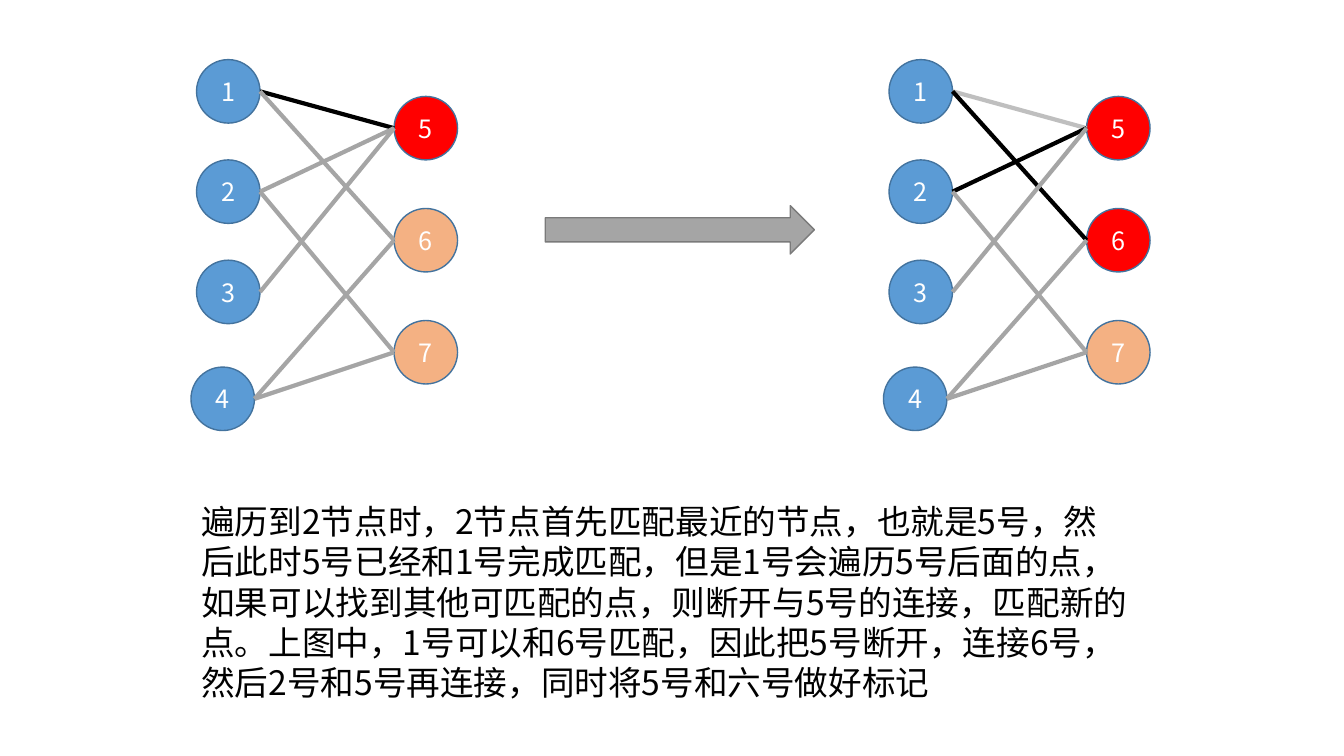
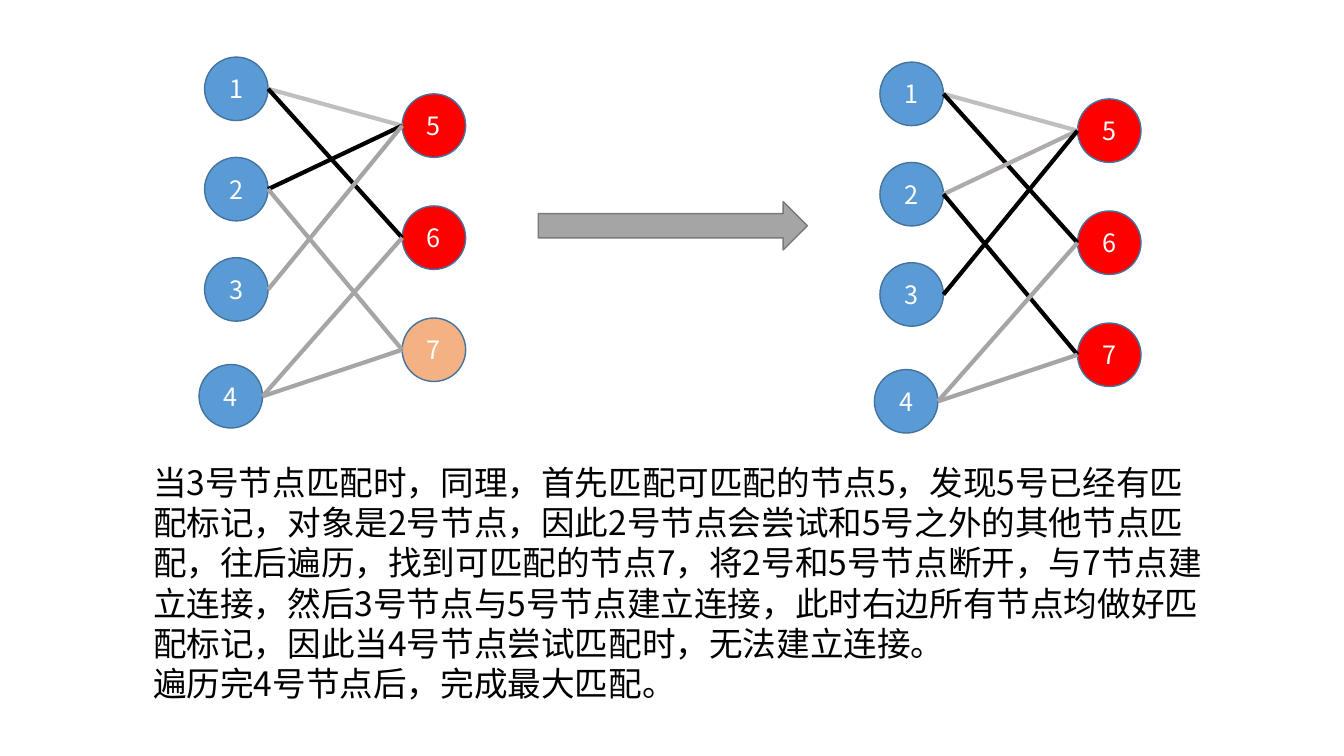
"""Builds two slides that show how a bipartite matching grows step by step."""
from lxml import etree
from pptx import Presentation
from pptx.dml.color import RGBColor
from pptx.enum.shapes import MSO_CONNECTOR, MSO_SHAPE
from pptx.enum.text import MSO_ANCHOR, MSO_AUTO_SIZE, PP_ALIGN
from pptx.oxml.ns import qn
from pptx.util import Inches, Pt

LINE = MSO_CONNECTOR.STRAIGHT
OVAL, ARROW = MSO_SHAPE.OVAL, MSO_SHAPE.RIGHT_ARROW
MIDDLE, GROW = MSO_ANCHOR.MIDDLE, MSO_AUTO_SIZE.SHAPE_TO_FIT_TEXT
LEFT, CENTER = PP_ALIGN.LEFT, PP_ALIGN.CENTER

BLACK = RGBColor(0x00, 0x00, 0x00)
WHITE = RGBColor(0xFF, 0xFF, 0xFF)
BLUE = RGBColor(0x5B, 0x9B, 0xD5)
NAVY = RGBColor(0x43, 0x73, 0x9E)
RED = RGBColor(0xFF, 0x00, 0x00)
PEACH = RGBColor(0xF4, 0xB1, 0x83)
GRAY = RGBColor(0xA5, 0xA5, 0xA5)
DARK_GRAY = RGBColor(0x7A, 0x7A, 0x7A)
SILVER = RGBColor(0xBF, 0xBF, 0xBF)
WARM_GRAY = RGBColor(0xAF, 0xAB, 0xAB)

COLS, ROWS = 160, 90
NODE = 7.56
LEFT_NODES = {1: (0, 0), 2: (0, 11.94), 3: (0, 23.88), 4: (-0.66, 36.6)}
RIGHT_NODES = {n: (23.52, 4.38 + 13.34 * i) for i, n in enumerate((5, 6, 7))}
EDGES = [(1, 5), (1, 6), (2, 5), (2, 7), (3, 5), (4, 6), (4, 7)]


class Deck:
    """Holds the style and the current slide; lengths are grid columns and rows."""

    font = "Noto Sans CJK SC"

    def __init__(self):
        self.prs = Presentation()
        self.cell = Inches(7.5) // ROWS
        self.prs.slide_width = self.cell * COLS
        self.prs.slide_height = self.cell * ROWS

    def slide(self):
        self.s = self.prs.slides.add_slide(self.prs.slide_layouts[6])

    def grid(self, *lengths):
        return [round(n * self.cell) for n in lengths]

    def fill_text(self, tf, lines, size, color, align):
        tf.text = "\n".join(lines)
        for p in tf.paragraphs:
            p.alignment = align
            p.font.size = Pt(size)
            p.font.color.rgb = color
            p.font.name = self.font
            style = p._p.pPr.find(qn("a:defRPr"))
            etree.SubElement(style, qn("a:ea"), typeface=self.font)

    def shape(self, kind, x, y, w, h, fill, line):
        sp = self.s.shapes.add_shape(kind, *self.grid(x, y, w, h))
        sp.shadow.inherit = False
        sp.fill.solid()
        sp.fill.fore_color.rgb = fill
        sp.line.color.rgb = line
        sp.line.width = Pt(1)
        return sp

    def node(self, x, y, number, fill):
        tf = self.shape(OVAL, x, y, NODE, NODE, fill, NAVY).text_frame
        tf.vertical_anchor = MIDDLE
        self.fill_text(tf, [str(number)], 18, WHITE, CENTER)

    def edge(self, x1, y1, x2, y2, color):
        sp = self.s.shapes.add_connector(LINE, *self.grid(x1, y1, x2, y2))
        sp.line.color.rgb = color
        sp.line.width = Pt(3)
        etree.SubElement(sp._element.spPr, qn("a:effectLst"))

    def graph(self, x, y, matched, released):
        taken = {b for a, b in matched}
        for n, (dx, dy) in LEFT_NODES.items():
            self.node(x + dx, y + dy, n, BLUE)
        for n, (dx, dy) in RIGHT_NODES.items():
            self.node(x + dx, y + dy, n, RED if n in taken else PEACH)
        for a, b in EDGES:
            (ax, ay), (bx, by) = LEFT_NODES[a], RIGHT_NODES[b]
            color = BLACK if (a, b) in matched else released.get((a, b), GRAY)
            self.edge(x + ax + NODE, y + ay + NODE / 2,
                      x + bx, y + by + NODE / 2, color)

    def arrow(self, x, y):
        self.shape(ARROW, x, y, 32.04, 5.76, GRAY, DARK_GRAY)

    def text(self, x, y, w, h, lines):
        tf = self.s.shapes.add_textbox(*self.grid(x, y, w, h)).text_frame
        tf.word_wrap = True
        tf.auto_size = GROW
        self.fill_text(tf, lines, 24, BLACK, LEFT)


first_match = {(1, 5)}
second_match = {(1, 6), (2, 5)}
full_match = {(1, 6), (2, 7), (3, 5)}
freed_by_2 = {(1, 5): SILVER}
freed_by_3 = {(1, 5): SILVER, (2, 5): WARM_GRAY}

deck = Deck()

deck.slide()
deck.graph(105.84, 7.1, second_match, freed_by_2)
deck.arrow(64.92, 24.48)
deck.graph(23.4, 7.1, first_match, {})
deck.text(22.8, 59.04, 112.8, 25.44, [
    "遍历到2节点时，2节点首先匹配最近的节点，也就是5号，"
    "然后此时5号已经和1号完成匹配，但是1号会遍历5号后面的点，"
    "如果可以找到其他可匹配的点，则断开与5号的连接，匹配新的点。"
    "上图中，1号可以和6号匹配，因此把5号断开，连接6号，"
    "然后2号和5号再连接，同时将5号和六号做好标记",
])

deck.slide()
deck.graph(104.76, 7.4, full_match, freed_by_3)
deck.arrow(64.08, 24)
deck.graph(24.36, 6.8, second_match, freed_by_2)
deck.text(17.04, 54.36, 128.4, 30.24, [
    "当3号节点匹配时，同理，首先匹配可匹配的节点5，发现5号已经有匹配标记，"
    "对象是2号节点，因此2号节点会尝试和5号之外的其他节点匹配，往后遍历，"
    "找到可匹配的节点7，将2号和5号节点断开，与7节点建立连接，"
    "然后3号节点与5号节点建立连接，此时右边所有节点均做好匹配标记，"
    "因此当4号节点尝试匹配时，无法建立连接。",
    "遍历完4号节点后，完成最大匹配。",
])

deck.prs.save("out.pptx")
